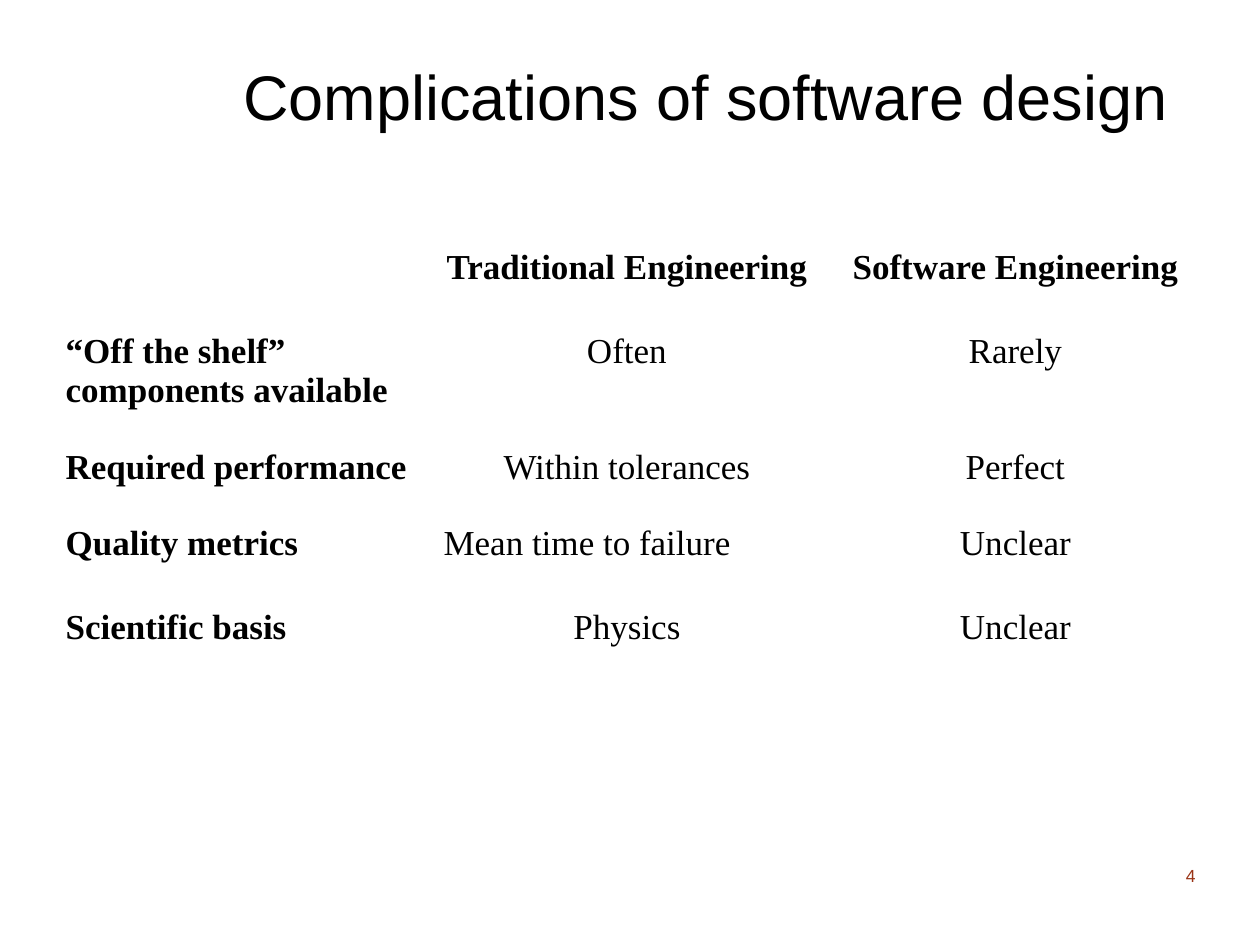
import pptx
import pptx.dml.color
import pptx.enum.text
import pptx.util

PX = 914400 // 126
ALIGN = pptx.enum.text.PP_ALIGN
ANCHOR = pptx.enum.text.MSO_ANCHOR

COLUMN_WIDTHS = [378, 392, 385]
ROW_HEIGHTS = [84, 116, 76, 84, 139]
COMPARISON = [
    ["", "Traditional Engineering", "Software Engineering"],
    ["“Off the shelf” components available", "Often", "Rarely"],
    ["Required performance", "Within tolerances", "Perfect"],
    ["Quality metrics", "Mean time to failure", "Unclear"],
    ["Scientific basis", "Physics", "Unclear"],
]
LEFT_ALIGNED_CELL = (3, 1)


def px(length):
    return pptx.util.Emu(length * PX)


def color(hex_string):
    return pptx.dml.color.RGBColor.from_string(hex_string)


def format_paragraph(paragraph, font, size, hex_string, align, bold=False):
    paragraph.alignment = align
    paragraph.font.name = font
    paragraph.font.size = pptx.util.Pt(size)
    paragraph.font.bold = bold
    paragraph.font.color.rgb = color(hex_string)
    for run in paragraph.runs:
        run.font.name = font
        run.font.size = pptx.util.Pt(size)
        run.font.bold = bold
        run.font.color.rgb = color(hex_string)


def add_text(slide, text, box, size, hex_string, align, anchor):
    text_frame = slide.shapes.add_textbox(*map(px, box)).text_frame
    text_frame.word_wrap = True
    text_frame.vertical_anchor = anchor
    text_frame.text = text
    paragraph = text_frame.paragraphs[0]
    format_paragraph(paragraph, "Arial", size, hex_string, align)
    return paragraph


def add_comparison_table(slide, left, top):
    frame = slide.shapes.add_table(
        len(ROW_HEIGHTS), len(COLUMN_WIDTHS), px(left), px(top),
        px(sum(COLUMN_WIDTHS)), px(sum(ROW_HEIGHTS)))
    table = frame.table
    table.first_row = False
    table.horz_banding = False
    for column, width in zip(table.columns, COLUMN_WIDTHS):
        column.width = px(width)
    for row, height in zip(table.rows, ROW_HEIGHTS):
        row.height = px(height)

    # Headings and row labels are bold; values are centred
    for row_index, texts in enumerate(COMPARISON):
        for column_index, text in enumerate(texts):
            cell = table.cell(row_index, column_index)
            cell.fill.background()
            cell.text_frame.text = text
            is_left = column_index == 0 or (row_index, column_index) == LEFT_ALIGNED_CELL
            format_paragraph(
                cell.text_frame.paragraphs[0], "Times New Roman", 20, "000000",
                ALIGN.LEFT if is_left else ALIGN.CENTER,
                bold=row_index == 0 or column_index == 0)


def main():
    presentation = pptx.Presentation()
    presentation.slide_width = pptx.util.Inches(10)
    presentation.slide_height = pptx.util.Inches(7.5)
    slide = presentation.slides.add_slide(presentation.slide_layouts[6])

    # Title
    title = add_text(slide, "Complications of software design",
                     (231, 21, 998, 158), 36, "000000", ALIGN.LEFT, ANCHOR.MIDDLE)
    title.line_spacing = 0.9

    # Comparison
    add_comparison_table(slide, 53, 242)

    # Page number
    add_text(slide, "4", (1113, 829, 95, 63), 10, "9A3416", ALIGN.RIGHT, ANCHOR.BOTTOM)

    presentation.save("out.pptx")


if __name__ == "__main__":
    main()
